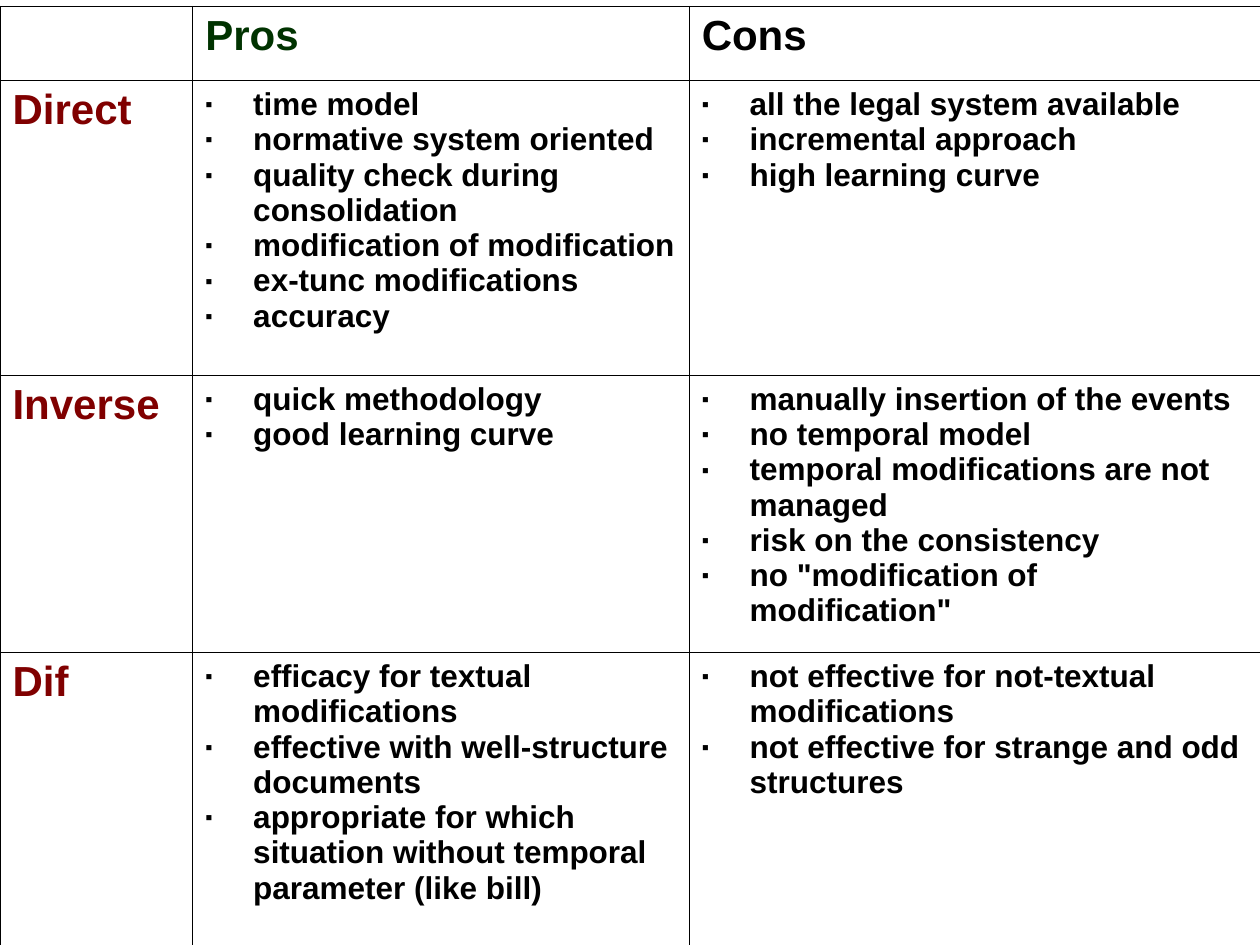
from lxml import etree
from pptx import Presentation
from pptx.dml.color import RGBColor
from pptx.oxml.ns import qn
from pptx.util import Inches, Pt

HEADERS = ["", "Pros", "Cons"]
METHODS = [
    ("Direct",
     ["time model", "normative system oriented",
      "quality check during consolidation", "modification of modification",
      "ex-tunc modifications", "accuracy"],
     ["all the legal system available", "incremental approach",
      "high learning curve"]),
    ("Inverse",
     ["quick methodology", "good learning curve"],
     ["manually insertion of the events", "no temporal model",
      "temporal modifications are not managed", "risk on the consistency",
      'no "modification of modification"']),
    ("Dif",
     ["efficacy for textual modifications",
      "effective with well-structure documents",
      "appropriate for which situation without temporal parameter (like bill)"],
     ["not effective for not-textual modifications",
      "not effective for strange and odd structures"]),
]

THEME = {
    "font": "Arial", "heading": 24, "body": 18,
    "text": "000000", "pros": "003300", "method": "800000",
    "fill": "FFFFFF", "border": "000000", "border_pt": 0.45,
}
SLIDE_W, SLIDE_H = 10, 7.5
TABLE_TOP = 0.05
COL_WIDTHS = [1.53, 3.94, 4.53]
ROW_HEIGHTS = [0.59, 2.34, 2.2, 2.34]
INDENT = 0.38


def add_child(parent, tag, **attrs):
    return etree.SubElement(parent, qn(tag), {k: str(v) for k, v in attrs.items()})


def style_cell(cell):
    """Give the cell thin borders on all sides and a plain fill."""
    tcPr = cell._tc.get_or_add_tcPr()
    for side in ("a:lnL", "a:lnR", "a:lnT", "a:lnB"):
        ln = add_child(tcPr, side, w=Pt(THEME["border_pt"]))
        add_child(add_child(ln, "a:solidFill"), "a:srgbClr", val=THEME["border"])
    cell.fill.solid()
    cell.fill.fore_color.rgb = RGBColor.from_string(THEME["fill"])


def write(cell, lines, size=THEME["body"], color=THEME["text"], bullet=None):
    tf = cell.text_frame
    for i, line in enumerate(lines):
        p = tf.paragraphs[0] if i == 0 else tf.add_paragraph()
        pPr = p._p.get_or_add_pPr()
        pPr.set("marL", str(Inches(INDENT)))
        pPr.set("indent", str(-Inches(INDENT)))
        if bullet:
            add_child(add_child(pPr, "a:buClr"), "a:srgbClr", val=THEME["text"])
            add_child(pPr, "a:buSzPct", val=65000)
            add_child(pPr, "a:buFont", typeface=THEME["font"])
            add_child(pPr, "a:buChar", char=bullet)
        r = p.add_run()
        r.text = line
        r.font.name = THEME["font"]
        r.font.size = Pt(size)
        r.font.bold = True
        r.font.color.rgb = RGBColor.from_string(color)


def main():
    prs = Presentation()
    prs.slide_width, prs.slide_height = Inches(SLIDE_W), Inches(SLIDE_H)
    s = prs.slides.add_slide(prs.slide_layouts[6])
    table = s.shapes.add_table(
        len(ROW_HEIGHTS), len(COL_WIDTHS), 0, Inches(TABLE_TOP),
        Inches(sum(COL_WIDTHS)), Inches(sum(ROW_HEIGHTS))).table
    table.first_row = table.horz_banding = False
    for column, width in zip(table.columns, COL_WIDTHS):
        column.width = Inches(width)
    for row, height in zip(table.rows, ROW_HEIGHTS):
        row.height = Inches(height)
    for cell in table.iter_cells():
        style_cell(cell)

    for col, header in enumerate(HEADERS):
        if header:
            color = THEME["pros"] if header == "Pros" else THEME["text"]
            write(table.cell(0, col), [header], size=THEME["heading"], color=color)
    for row, (method, *points) in enumerate(METHODS, 1):
        write(table.cell(row, 0), [method], size=THEME["heading"], color=THEME["method"])
        for col, lines in enumerate(points, 1):
            write(table.cell(row, col), lines, bullet="▪")
    prs.save("out.pptx")


if __name__ == "__main__":
    main()
